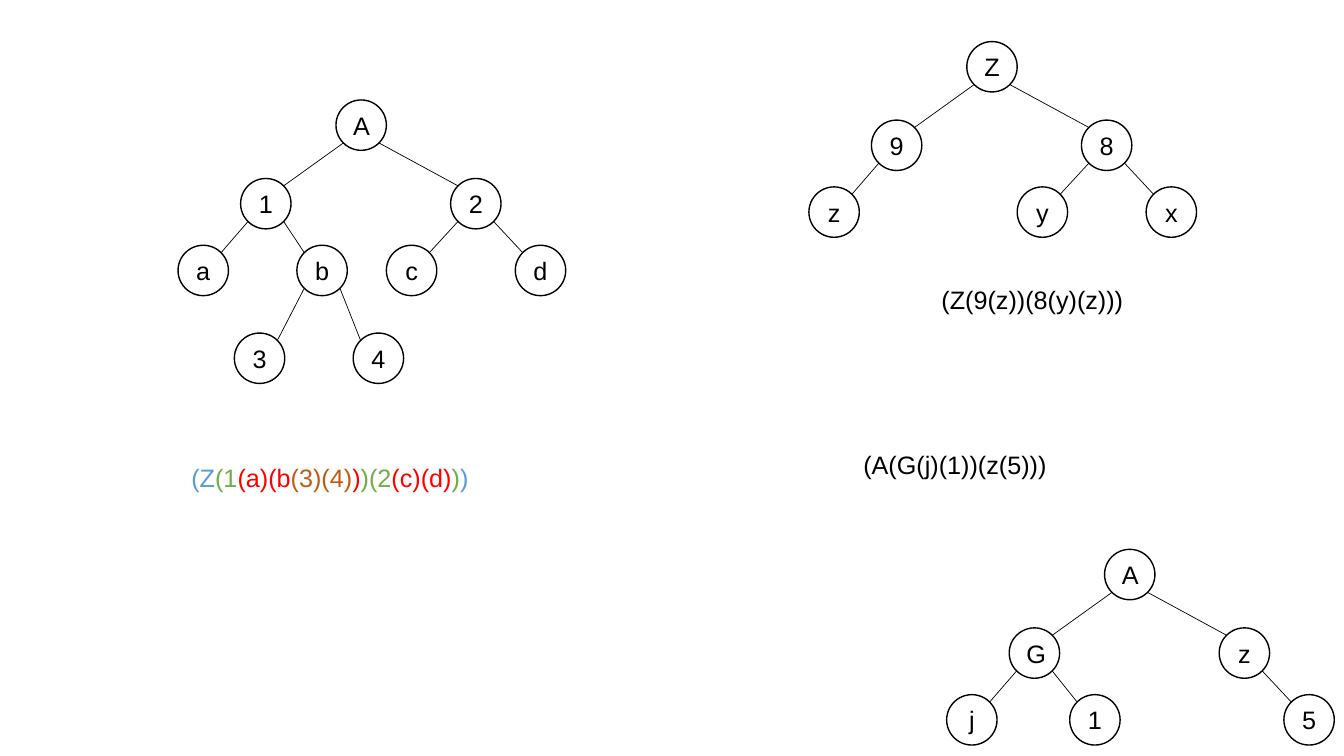
import math

import pptx
import pptx.dml.color
import pptx.enum.shapes
import pptx.enum.text
import pptx.oxml
import pptx.oxml.ns
import pptx.util

COLORS = {"ink": "000000", "paper": "FFFFFF", "blue": "5B9BD5",
          "green": "70AD47", "red": "FF0000", "orange": "C55A11"}
FONT = {"name": "Arial", "size": pptx.util.Pt(18)}

# The slide is a grid of 160 columns by 90 rows of square cells.
COLUMNS, ROWS = 160, 90
CELL = pptx.util.Inches(7.5) / ROWS
NODE = 6
LEVELS = [0, 9.35, 17.3, 27.75]  # rows from the root to each level
INSET = NODE / 2 * (1 - math.sqrt(0.5))  # from a node's box to its rim at 45 degrees

# Each node is (label, columns from its parent, children).
TREES = [
    ((115.1, 4.95), ("Z", 0, [
        ("9", -11.35, [("z", -7.45, [])]),
        ("8", 13.65, [("y", -7.65, []), ("x", 7.7, [])])])),
    ((131.5, 65.4), ("A", 0, [
        ("G", -11.35, [("j", -7.45, []), ("1", 7.2, [])]),
        ("z", 13.65, [("5", 7.7, [])])])),
    ((40, 11.9), ("A", 0, [
        ("1", -11.35, [
            ("a", -7.45, []),
            ("b", 6.7, [("3", -7.45, []), ("4", 6.7, [])])]),
        ("2", 13.65, [("c", -7.65, []), ("d", 7.7, [])])])),
]

# Each notation is a box (left, top, width, height) and its coloured spans.
NOTATIONS = [
    ((101.6, 52.9, 24.5, 4.8), [("(A(G(j)(1))(z(5)))", "ink")]),
    ((110.9, 33.25, 24.7, 4.8), [("(Z(9(z))(8(y)(z)))", "ink")]),
    ((21.6, 54.5, 59.8, 4.8), [
        ("(Z", "blue"), ("(1", "green"), ("(a)(b", "red"), ("(3)(4)", "orange"),
        (")", "red"), (")(2", "green"), ("(c)(d)", "red"), (")", "green"),
        (")", "blue")]),
]


def cells(*lengths):
    return [round(length * CELL) for length in lengths]


def color(name):
    return pptx.dml.color.RGBColor.from_string(COLORS[name])


def add_span(para, text, color_name):
    span = para.add_run()
    span.text = text
    for key, value in FONT.items():
        setattr(span.font, key, value)
    span.font.color.rgb = color(color_name)


def style_line(line, points):
    line.color.rgb = color("ink")
    line.width = pptx.util.Pt(points)


def add_circle(group, left, top, label):
    circle = group.shapes.add_shape(
        pptx.enum.shapes.MSO_SHAPE.OVAL, *cells(left, top, NODE, NODE))
    circle.shadow.inherit = False
    circle.fill.solid()
    circle.fill.fore_color.rgb = color("paper")
    style_line(circle.line, 1)
    circle.text_frame.vertical_anchor = pptx.enum.text.MSO_ANCHOR.MIDDLE
    para = circle.text_frame.paragraphs[0]
    para.alignment = pptx.enum.text.PP_ALIGN.CENTER
    add_span(para, label, "ink")


def add_branch(group, parent, child):
    """Join the lower rim of the parent to the facing upper rim of the child."""
    near, far = INSET, NODE - INSET
    start, end = (near, far) if child[0] < parent[0] else (far, near)
    branch = group.shapes.add_connector(
        pptx.enum.shapes.MSO_CONNECTOR.STRAIGHT,
        *cells(parent[0] + start, parent[1] + far, child[0] + end, child[1] + near))
    style_line(branch.line, 0.5)
    properties = branch._element.spPr
    properties.append(pptx.oxml.parse_xml(
        f'<a:effectLst {pptx.oxml.ns.nsdecls("a")}/>'))


def add_tree(group, root, node, left=0, depth=0):
    """Place a node and all below it, relative to the root's left and top."""
    label, _, children = node
    place = root[0] + left, root[1] + LEVELS[depth]
    add_circle(group, *place, label)
    for child in children:
        child_left = left + child[1]
        add_branch(group, place, (root[0] + child_left, root[1] + LEVELS[depth + 1]))
        add_tree(group, root, child, child_left, depth + 1)


def add_notation(page, box, spans):
    frame = page.shapes.add_textbox(*cells(*box)).text_frame
    frame.word_wrap = True
    for text, color_name in spans:
        add_span(frame.paragraphs[0], text, color_name)


def main():
    deck = pptx.Presentation()
    deck.slide_width, deck.slide_height = cells(COLUMNS, ROWS)
    page = deck.slides.add_slide(deck.slide_layouts[6])
    for root, node in TREES:
        add_tree(page.shapes.add_group_shape(), root, node)
    for box, spans in NOTATIONS:
        add_notation(page, box, spans)
    deck.save("out.pptx")


if __name__ == "__main__":
    main()
